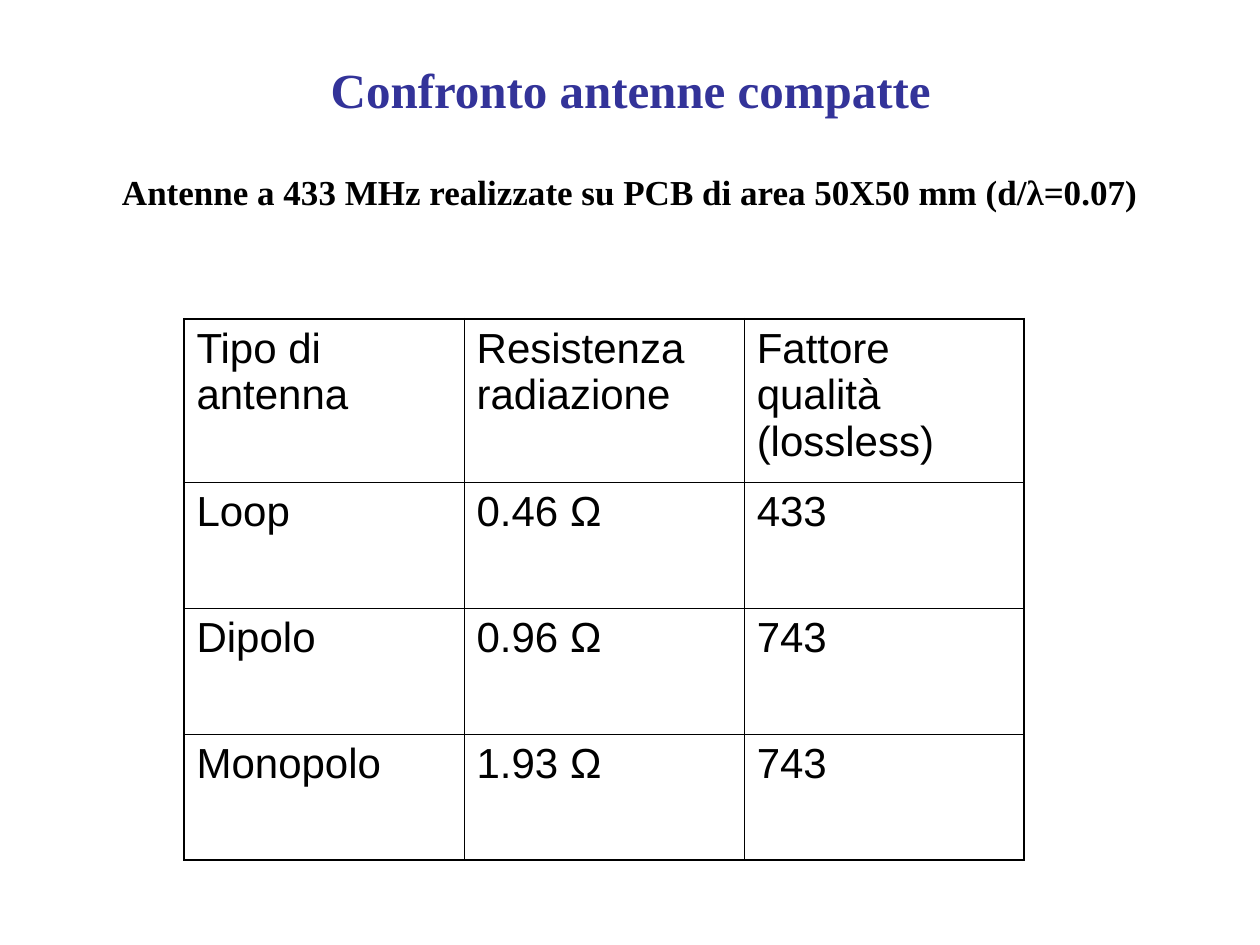
from lxml import etree
from pptx import Presentation
from pptx.dml.color import RGBColor
from pptx.enum.text import MSO_ANCHOR, PP_ALIGN
from pptx.oxml.ns import qn
from pptx.util import Inches, Pt

TOP = MSO_ANCHOR.TOP
LEFT, CENTER = PP_ALIGN.LEFT, PP_ALIGN.CENTER
TITLE_ONLY = 5

COLORS = {"title": "333399", "text": "000000", "border": "000000"}
SERIF, SANS = "Times New Roman", "Arial"
OUTER_LINE, INNER_LINE = Pt(1.08), Pt(0.45)

ANTENNAS = [
    ("Tipo di antenna", "Resistenza radiazione", "Fattore qualità (lossless)"),
    ("Loop", "0.46 Ω", "433"),
    ("Dipolo", "0.96 Ω", "743"),
    ("Monopolo", "1.93 Ω", "743"),
]
ROW_HEIGHTS = [1.3, 1, 1, 1]


def write(frame, text, size, font=SERIF, color="text", bold=False, align=LEFT):
    frame.word_wrap = True
    paragraph = frame.paragraphs[0]
    paragraph.alignment = align
    run = paragraph.add_run()
    run.text = text
    run.font.name = font
    run.font.size = Pt(size)
    run.font.bold = bold
    run.font.color.rgb = RGBColor.from_string(COLORS[color])


def add_title(slide, left, top, width, height):
    title = slide.shapes.title
    title.left, title.top = Inches(left), Inches(top)
    title.width, title.height = Inches(width), Inches(height)
    frame = title.text_frame
    frame.vertical_anchor = TOP
    frame.margin_top = Inches(0.1)
    write(frame, "Confronto antenne compatte", 28, color="title", bold=True,
          align=CENTER)


def add_subtitle(slide, left, top, width, height):
    subtitle = slide.shapes.add_textbox(
        Inches(left), Inches(top), Inches(width), Inches(height))
    subtitle.text_frame.margin_top = Inches(0.08)
    write(subtitle.text_frame,
          "Antenne a 433 MHz realizzate su PCB di area 50X50 mm (d/λ=0.07)",
          20, bold=True)


def set_borders(cell, outer_sides):
    """Draw thin borders, with a heavier line on the given outer sides."""
    properties = cell._tc.get_or_add_tcPr()
    for position, side in enumerate(("lnL", "lnR", "lnT", "lnB")):
        width = OUTER_LINE if side in outer_sides else INNER_LINE
        line = etree.Element(qn(f"a:{side}"), w=str(width))
        fill = etree.SubElement(line, qn("a:solidFill"))
        etree.SubElement(fill, qn("a:srgbClr"), val=COLORS["border"])
        properties.insert(position, line)


def add_antenna_table(slide, left, top, width, height):
    row_count, column_count = len(ANTENNAS), len(ANTENNAS[0])
    table = slide.shapes.add_table(
        row_count, column_count,
        Inches(left), Inches(top), Inches(width), Inches(height)).table
    table.first_row = table.horz_banding = False
    for row, row_height in zip(table.rows, ROW_HEIGHTS):
        row.height = Inches(height * row_height / sum(ROW_HEIGHTS))
    for r, values in enumerate(ANTENNAS):
        for c, value in enumerate(values):
            cell = table.cell(r, c)
            cell.fill.background()
            write(cell.text_frame, value, 24, font=SANS)
            edges = {"lnL": c == 0, "lnR": c == column_count - 1,
                     "lnT": r == 0, "lnB": r == row_count - 1}
            set_borders(cell, [side for side, outer in edges.items() if outer])


def main():
    presentation = Presentation()
    presentation.slide_width = Inches(10)
    presentation.slide_height = Inches(7.5)
    slide = presentation.slides.add_slide(
        presentation.slide_layouts[TITLE_ONLY])
    add_title(slide, 0.87, 0.37, 8.27, 0.9)
    add_subtitle(slide, 0.87, 1.27, 8.47, 0.44)
    add_antenna_table(slide, 1.46, 2.53, 6.67, 4.29)
    presentation.save("out.pptx")


if __name__ == "__main__":
    main()
